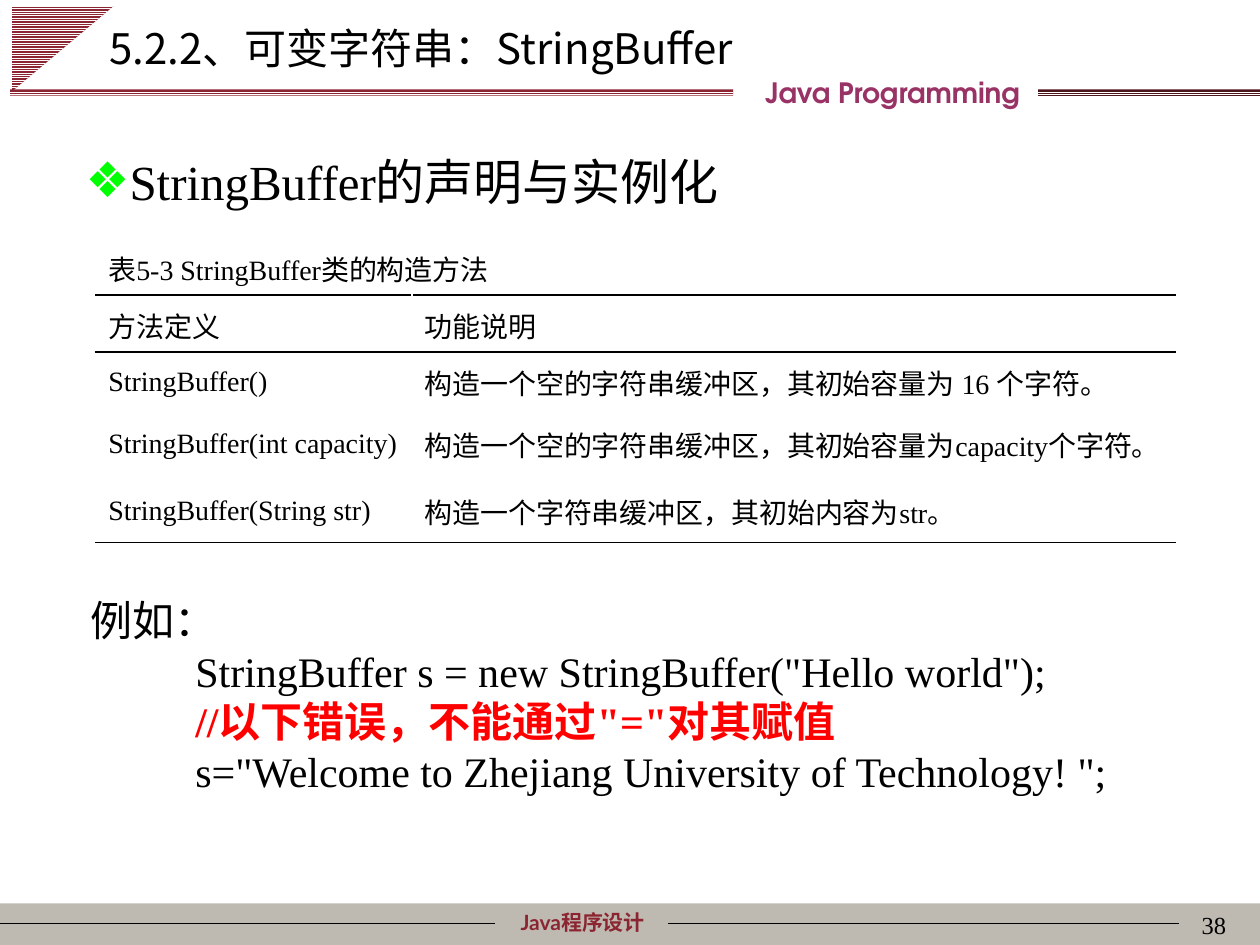
from lxml import etree
from pptx import Presentation
from pptx.dml.color import RGBColor
from pptx.enum.dml import MSO_PATTERN
from pptx.enum.shapes import MSO_CONNECTOR, MSO_SHAPE
from pptx.enum.text import MSO_ANCHOR, MSO_AUTO_SIZE, PP_ALIGN
from pptx.oxml.ns import qn
from pptx.util import Inches, Pt

BLACK = RGBColor(0x00, 0x00, 0x00)
WHITE = RGBColor(0xFF, 0xFF, 0xFF)
WINE = RGBColor(0x8C, 0x25, 0x32)
DARK = RGBColor(0x4C, 0x14, 0x1B)
PLUM = RGBColor(0x99, 0x33, 0x66)
STONE = RGBColor(0xBF, 0xBA, 0xB1)
GREEN = RGBColor(0x00, 0xFF, 0x00)
RED = RGBColor(0xFF, 0x00, 0x00)
SERIF, SANS = "Times New Roman", "Noto Sans CJK SC"
LEFT, MID, RIGHT = PP_ALIGN.LEFT, PP_ALIGN.CENTER, PP_ALIGN.RIGHT
TOP, CENTER = MSO_ANCHOR.TOP, MSO_ANCHOR.MIDDLE
RECT, WEDGE = MSO_SHAPE.RECTANGLE, MSO_SHAPE.RIGHT_TRIANGLE
STRIPES = MSO_PATTERN.LIGHT_HORIZONTAL
FIXED = MSO_AUTO_SIZE.NONE
LINE = MSO_CONNECTOR.STRAIGHT
COLS, ROWS = 100, 75
WIDE, HIGH = Inches(10), Inches(7.5)

TITLE = "5.2.2、可变字符串：StringBuffer"
TOPIC = "StringBuffer的声明与实例化"
CELLS = [
    ("表5-3 StringBuffer类的构造方法", ""),
    ("方法定义", "功能说明"),
    ("StringBuffer()", "构造一个空的字符串缓冲区，其初始容量为 16 个字符。"),
    ("StringBuffer(int capacity)", "构造一个空的字符串缓冲区，其初始容量为capacity个字符。"),
    ("StringBuffer(String str)", "构造一个字符串缓冲区，其初始内容为str。"),
]
CODE = [
    ("例如：", BLACK, False),
    ('          StringBuffer s = new StringBuffer("Hello world");', BLACK, False),
    ('          //以下错误，不能通过"="对其赋值', RED, True),
    ('          s="Welcome to Zhejiang University of Technology! ";', BLACK, False),
]


def across(n):
    """Turn grid columns into a length."""
    return int(WIDE * n / COLS)


def down(n):
    """Turn grid rows into a length."""
    return int(HIGH * n / ROWS)


def part(box, x, y, w, h):
    """Place a part, given in grid cells, from the corner of a box."""
    return across(box[0] + x), down(box[1] + y), across(w), down(h)


def style(para, size, font, color, bold=False, align=LEFT):
    """Format a paragraph."""
    para.alignment = align
    para.space_before = Pt(0)
    para.font.size = Pt(size)
    para.font.name = font
    para.font.bold = bold
    para.font.color.rgb = color


def fit(shape, spot, anchor=TOP):
    """Move a text shape and fix its size and wrapping."""
    shape.left, shape.top, shape.width, shape.height = spot
    frame = shape.text_frame
    frame.word_wrap = True
    frame.auto_size = FIXED
    frame.vertical_anchor = anchor
    return frame


def label(slide, spot, text, *look):
    """Add a one-line text box."""
    frame = fit(slide.shapes.add_textbox(*spot), spot)
    frame.text = text
    style(frame.paragraphs[0], *look)


def block(slide, spot, color, kind=RECT, striped=True):
    """Add a plain or striped shape without outline."""
    shape = slide.shapes.add_shape(kind, *spot)
    shape.shadow.inherit = False
    shape.line.fill.background()
    if striped:
        shape.fill.patterned()
        shape.fill.pattern = STRIPES
        shape.fill.fore_color.rgb = WHITE
        shape.fill.back_color.rgb = color
    else:
        shape.fill.solid()
        shape.fill.fore_color.rgb = color
    return shape


def rule(slide, spot):
    """Add a thin level line."""
    x, y, w, _ = spot
    line = slide.shapes.add_connector(LINE, x, y, x + w, y)
    line.line.color.rgb = BLACK
    line.line.width = Pt(0.75)
    etree.SubElement(line._element.spPr, qn("a:effectLst"))


def footer(slide, box):
    """Draw the bottom band with course name and page number."""
    block(slide, part(box, 0, 0, *box[2:]), STONE, striped=False)
    label(slide, part(box, 36.2, 0, 20.1, 3), "Java程序设计", 12, "Lato", WINE, True, MID)
    for x, w in ((0, 39.3), (53, 40.6)):
        rule(slide, part(box, x, 1.6, w, 0))
    label(slide, part(box, 77.5, 0, 20.8, 3.3), "38", 14, SERIF, BLACK, False, RIGHT)


def header(slide, box):
    """Draw the striped corner and bars, and set the title."""
    block(slide, part(box, 1.6, -0.2, 6.8, 8.1), WINE, WEDGE).rotation = 90
    block(slide, part(box, 82.4, 7.1, 17.6, 0.6), DARK)
    block(slide, part(box, 0.8, 7.1, 57.4, 0.5), WINE)
    label(slide, part(box, 50.8, 5.5, 40.1, 3.7), "Java Programming",
          16, "TeX Gyre Adventor", PLUM, True, MID)
    frame = fit(slide.shapes.title, part(box, 7.7, 1.3, 85, 5), CENTER)
    frame.text = TITLE
    style(frame.paragraphs[0], 24, SANS, BLACK)


def topic(slide, box):
    """Set the bulleted heading in the body placeholder."""
    frame = fit(slide.placeholders[1], part(box, 0, 0, *box[2:]))
    frame.text = TOPIC
    para = frame.paragraphs[0]
    props = para._p.get_or_add_pPr()
    props.set("marL", "0")
    props.set("indent", "0")
    tint = etree.SubElement(props, qn("a:buClr"))
    etree.SubElement(tint, qn("a:srgbClr"), val=str(GREEN))
    etree.SubElement(props, qn("a:buChar"), char="❖")
    style(para, 28, SERIF, BLACK)


def edge(cell, side):
    """Draw one black cell border, ahead of the fill."""
    props = cell._tc.get_or_add_tcPr()
    line = etree.Element(qn("a:" + side), w=str(Pt(1)))
    fill = etree.SubElement(line, qn("a:solidFill"))
    etree.SubElement(fill, qn("a:srgbClr"), val=str(BLACK))
    props.insert(len(props.findall(qn("a:lnT"))), line)


def methods(slide, box):
    """Add the ruled table of constructors."""
    spot = part(box, 0, 0, *box[2:])
    table = slide.shapes.add_table(len(CELLS), 2, *spot).table
    table.first_row = table.horz_banding = False
    for col, w in zip(table.columns, (25.1, 60.6)):
        col.width = across(w)
    for row, h in zip(table.rows, (4, 4, 4, 5.3, 5.3)):
        row.height = down(h)
    table.cell(0, 0).merge(table.cell(0, 1))
    for r, texts in enumerate(CELLS):
        for c, text in enumerate(texts):
            cell = table.cell(r, c)
            cell.fill.background()
            cell.vertical_anchor = CENTER
            if r in (1, 2):
                edge(cell, "lnT")
            if r in (0, 1, len(CELLS) - 1):
                edge(cell, "lnB")
            cell.text = text
            para = cell.text_frame.paragraphs[0]
            style(para, 16, SERIF, BLACK)
            para.line_spacing = 1.1


def sample(slide, box):
    """Add the code example."""
    spot = part(box, 0, 0, *box[2:])
    frame = fit(slide.shapes.add_textbox(*spot), spot, CENTER)
    frame.text = "\n".join(text for text, _, _ in CODE)
    for para, (_, color, bold) in zip(frame.paragraphs, CODE):
        para._p.get_or_add_pPr().set("indent", str(across(2.9)))
        style(para, 24, SERIF, color, bold)


def main():
    """Build and save the slide."""
    deck = Presentation()
    deck.slide_width, deck.slide_height = WIDE, HIGH
    slide = deck.slides.add_slide(deck.slide_layouts[1])
    footer(slide, (0, 71.7, COLS, 3.3))
    header(slide, (0, 0, COLS, 9.2))
    topic(slide, (5.8, 11.5, 53.7, 5.7))
    methods(slide, (7.6, 18.9, 85.7, 22.6))
    sample(slide, (3.3, 46.7, 88.6, 17))
    deck.save("out.pptx")


if __name__ == "__main__":
    main()
